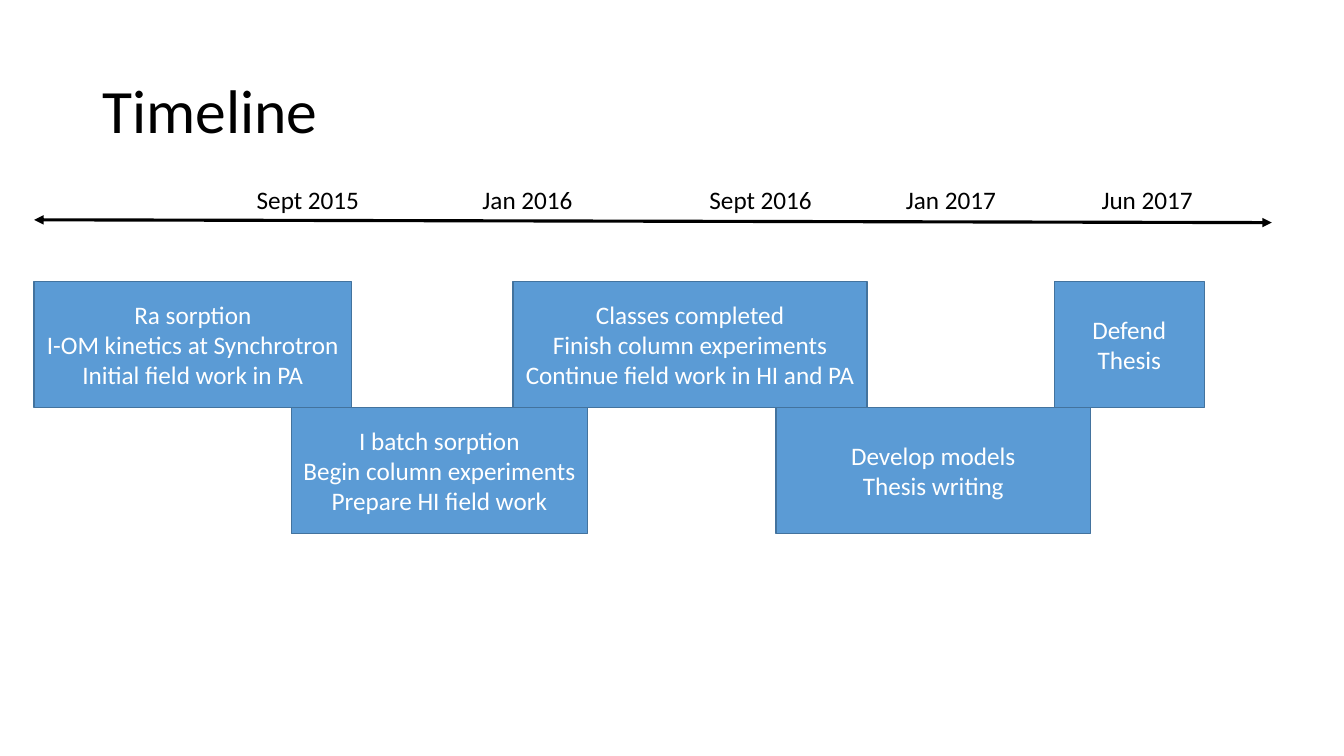
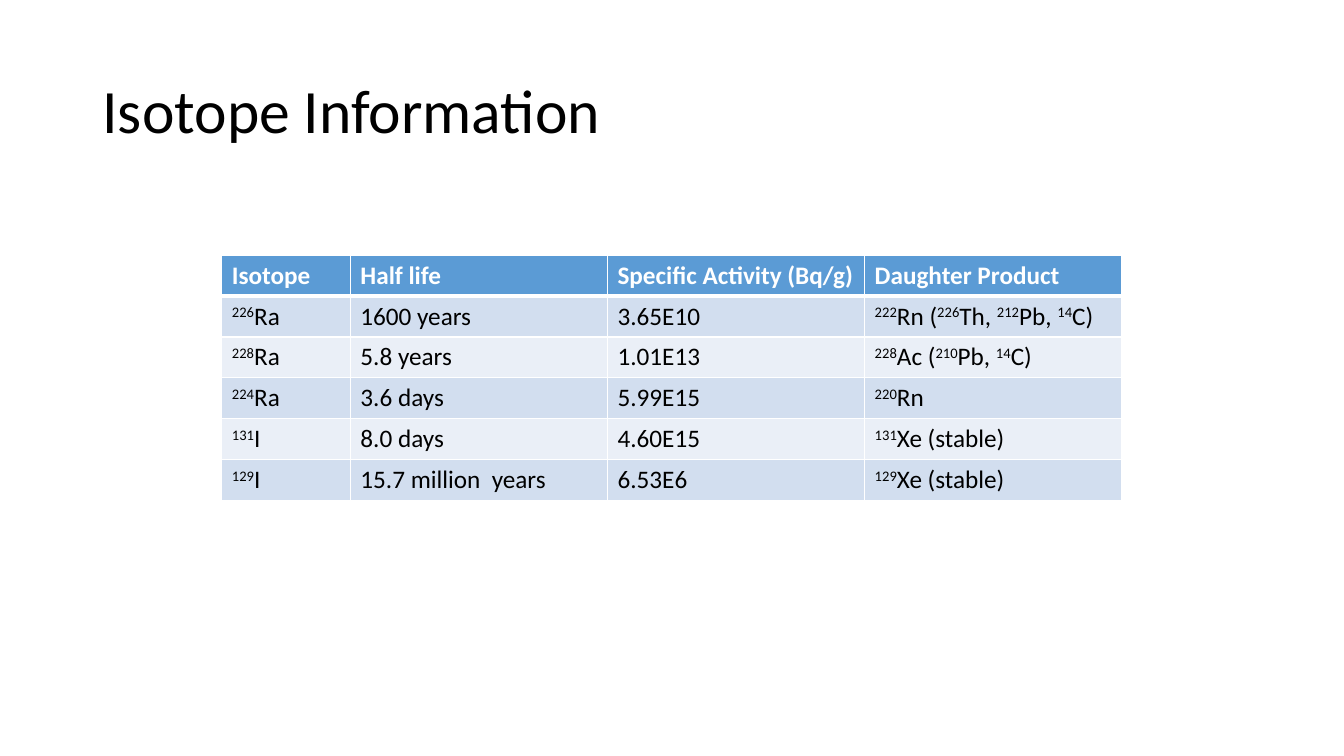
import pptx
import pptx.dml.color
import pptx.enum.shapes
import pptx.enum.text
import pptx.oxml.ns
import pptx.util
from lxml import etree

Cm = pptx.util.Cm
Pt = pptx.util.Pt
RGBColor = pptx.dml.color.RGBColor
ALIGN = pptx.enum.text.PP_ALIGN
ANCHOR = pptx.enum.text.MSO_ANCHOR
AUTO_SIZE = pptx.enum.text.MSO_AUTO_SIZE
qn = pptx.oxml.ns.qn

FONT = "Calibri"
BLACK = RGBColor(0x00, 0x00, 0x00)
WHITE = RGBColor(0xFF, 0xFF, 0xFF)
BLUE = RGBColor(0x5B, 0x9B, 0xD5)
DARK_BLUE = RGBColor(0x43, 0x73, 0x9E)
BAND_COLORS = (RGBColor(0xD2, 0xDE, 0xEF), RGBColor(0xEA, 0xEF, 0xF7))

TITLE_BOX = (2.33, 1.02, 29.21, 3.68)
TIMELINE_BOX = (0.86, 4.52, 31.19)
TABLE_BOX = (5.59, 6.43, 22.68, 6.18)

DATES = [
    ("Sept 2015", 5.36),
    ("Jan 2016", 11.05),
    ("Sept 2016", 16.77),
    ("Jan 2017", 21.72),
    ("Jun 2017", 26.65),
]
STAGES = [
    ("Ra sorption\nI-OM kinetics at Synchrotron\nInitial field work in PA", 0, 8),
    ("I batch sorption\nBegin column experiments\nPrepare HI field work", 6.48, 7.47),
    ("Classes completed\nFinish column experiments\nContinue field work in HI and PA", 12.07, 8.92),
    ("Develop models\nThesis writing", 18.7, 7.92),
    ("Defend Thesis", 25.71, 3.78),
]
ISOTOPES = [
    ("Isotope", "Half life", "Specific Activity (Bq/g)", "Daughter Product"),
    ("^226^Ra", "1600 years", "3.65E10", "^222^Rn (^226^Th, ^212^Pb, ^14^C)"),
    ("^228^Ra", "5.8 years", "1.01E13", "^228^Ac (^210^Pb, ^14^C)"),
    ("^224^Ra", "3.6 days", "5.99E15", "^220^Rn"),
    ("^131^I", "8.0 days", "4.60E15", "^131^Xe (stable)"),
    ("^129^I", "15.7 million  years", "6.53E6", "^129^Xe (stable)"),
]


def write_text(frame, text, size=18, color=BLACK, bold=False, align=ALIGN.LEFT, spacing=1.0):
    """Write one paragraph per line, raising whatever stands between carets."""
    for index, line in enumerate(text.split("\n")):
        paragraph = frame.add_paragraph() if index else frame.paragraphs[0]
        paragraph.alignment = align
        paragraph.line_spacing = spacing
        for position, piece in enumerate(line.split("^")):
            if not piece:
                continue
            run = paragraph.add_run()
            run.text = piece
            run.font.name = FONT
            run.font.size = Pt(size)
            run.font.bold = bold
            run.font.color.rgb = color
            if position % 2:
                run._r.get_or_add_rPr().set("baseline", "30000")


def add_titled_slide(presentation, title):
    """Add a title-only slide with the shared title style."""
    slide = presentation.slides.add_slide(presentation.slide_layouts[5])
    shape = slide.shapes.title
    shape.left, shape.top, shape.width, shape.height = map(Cm, TITLE_BOX)
    frame = shape.text_frame
    frame.auto_size = AUTO_SIZE.NONE
    frame.vertical_anchor = ANCHOR.MIDDLE
    write_text(frame, title, size=44, spacing=0.9)
    return slide


def add_time_axis(slide, left, top, width):
    """Draw the double-headed axis across the given width."""
    axis = slide.shapes.add_connector(
        pptx.enum.shapes.MSO_CONNECTOR.STRAIGHT,
        Cm(left), Cm(top), Cm(left + width), Cm(top + 0.07))
    axis.line.color.rgb = BLACK
    axis.line.width = Pt(2.25)
    line = axis.line._get_or_add_ln()
    for end in ("a:headEnd", "a:tailEnd"):
        etree.SubElement(line, qn(end), type="triangle")
    etree.SubElement(axis._element.spPr, qn("a:effectLst"))


def add_date(slide, text, left, top):
    """Place one date label above the axis."""
    label = slide.shapes.add_textbox(Cm(left), Cm(top), Cm(3.35), Cm(1.02))
    label.text_frame.word_wrap = True
    write_text(label.text_frame, text)


def add_stage(slide, text, left, top, width, height):
    """Place one blue stage box."""
    stage = slide.shapes.add_shape(
        pptx.enum.shapes.MSO_SHAPE.RECTANGLE, Cm(left), Cm(top), Cm(width), Cm(height))
    stage.shadow.inherit = False
    stage.fill.solid()
    stage.fill.fore_color.rgb = BLUE
    stage.line.color.rgb = DARK_BLUE
    stage.line.width = Pt(1)
    stage.text_frame.word_wrap = True
    stage.text_frame.vertical_anchor = ANCHOR.MIDDLE
    write_text(stage.text_frame, text, color=WHITE, align=ALIGN.CENTER)


def add_timeline(slide, left, top, width):
    """Place stages in two alternating lanes below a dated axis."""
    lane_height = 3.18
    for index, (text, offset, stage_width) in enumerate(STAGES):
        stage_top = top + 2.57 + index % 2 * lane_height
        add_stage(slide, text, left + offset, stage_top, stage_width, lane_height)
    add_time_axis(slide, left, top + 1.02, width)
    for text, offset in DATES:
        add_date(slide, text, left + offset, top)


def set_cell_border(cell, side, width):
    """Give one side of a cell a solid white border."""
    properties = cell._tc.get_or_add_tcPr()
    line = etree.SubElement(properties, qn(f"a:ln{side}"), w=str(int(Pt(width))))
    fill = etree.SubElement(line, qn("a:solidFill"))
    etree.SubElement(fill, qn("a:srgbClr"), val=str(WHITE))


def add_isotope_table(slide, left, top, width, height):
    """Fill the given box with the banded isotope table."""
    row_count, column_count = len(ISOTOPES), len(ISOTOPES[0])
    table = slide.shapes.add_table(
        row_count, column_count, Cm(left), Cm(top), Cm(width), Cm(height)).table
    first_width = width / 7
    other_width = (width - first_width) / (column_count - 1)
    for index, column in enumerate(table.columns):
        column.width = Cm(other_width if index else first_width)
    for row_index, values in enumerate(ISOTOPES):
        header = row_index == 0
        for column_index, text in enumerate(values):
            cell = table.cell(row_index, column_index)
            for side in "LRTB":
                thick = (side, row_index) in (("B", 0), ("T", 1))
                set_cell_border(cell, side, 3 if thick else 1)
            cell.fill.solid()
            cell.fill.fore_color.rgb = BLUE if header else BAND_COLORS[(row_index - 1) % 2]
            write_text(cell.text_frame, text, color=WHITE if header else BLACK, bold=header)


def main():
    """Build and save the presentation."""
    presentation = pptx.Presentation()
    presentation.slide_width = Cm(33.87)
    presentation.slide_height = Cm(19.05)
    add_timeline(add_titled_slide(presentation, "Timeline"), *TIMELINE_BOX)
    add_isotope_table(add_titled_slide(presentation, "Isotope Information"), *TABLE_BOX)
    presentation.save("out.pptx")


if __name__ == "__main__":
    main()
